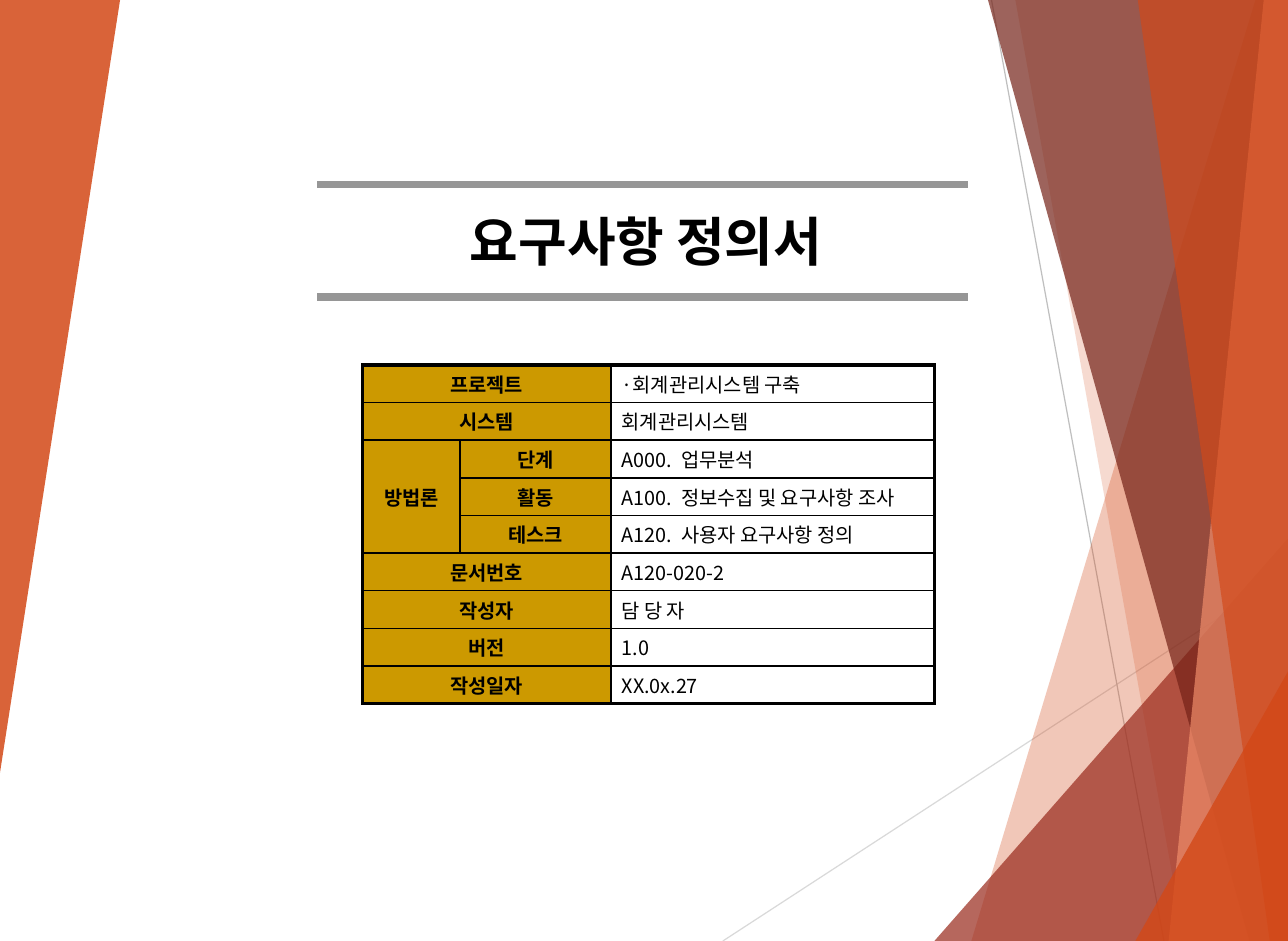
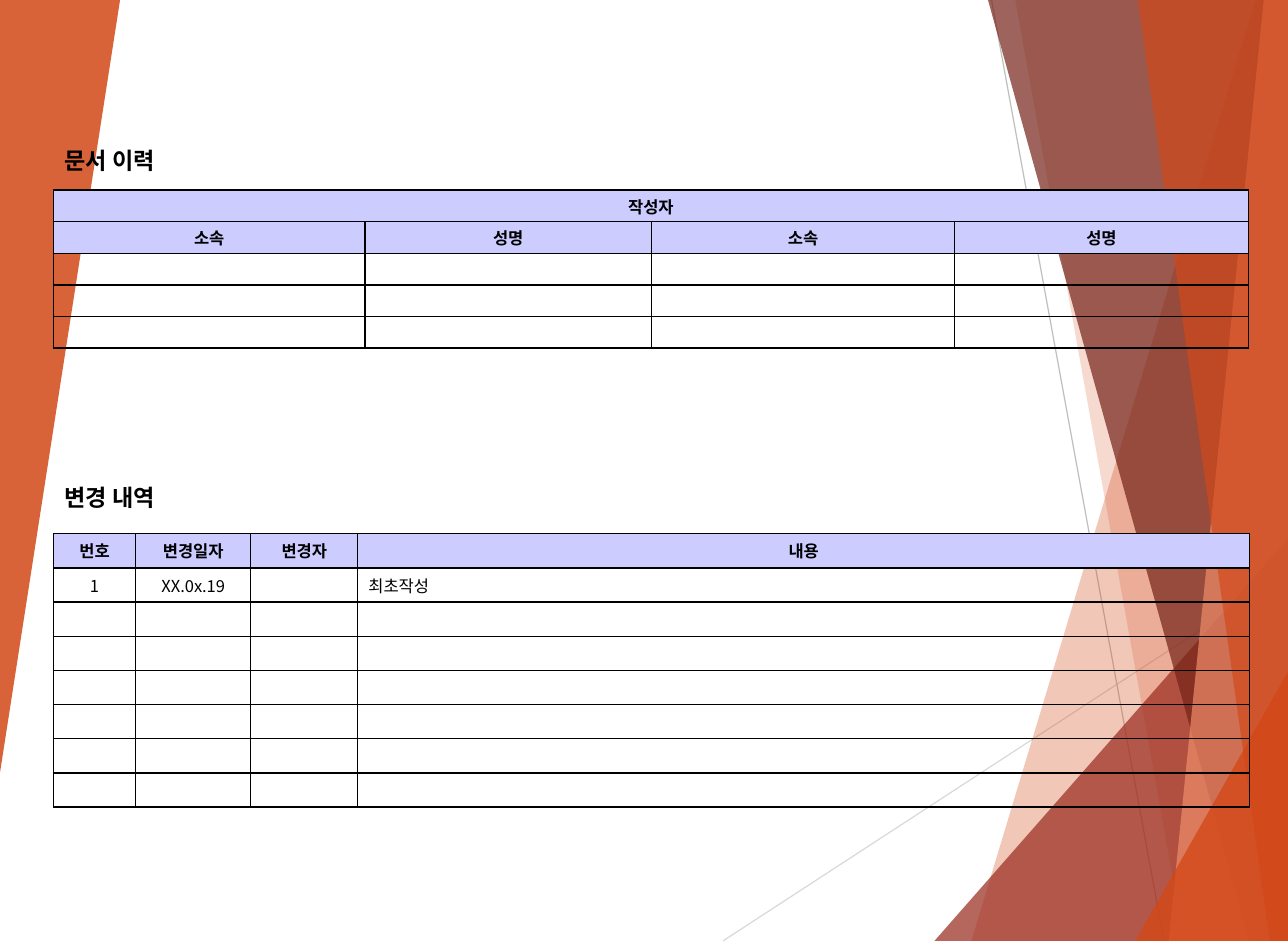
from lxml import etree
from pptx import Presentation
from pptx.dml.color import RGBColor
from pptx.enum.shapes import MSO_CONNECTOR
from pptx.enum.text import MSO_ANCHOR, MSO_AUTO_SIZE, PP_ALIGN
from pptx.oxml.ns import qn
from pptx.util import Inches, Pt

STRAIGHT = MSO_CONNECTOR.STRAIGHT
MIDDLE = MSO_ANCHOR.MIDDLE
LEFT, CENTER = PP_ALIGN.LEFT, PP_ALIGN.CENTER
NO_FIT = MSO_AUTO_SIZE.NONE

FONT = "Noto Sans CJK KR"
BLACK, GRAY = "000000", "969696"
GOLD, LAVENDER = "CC9900", "CCCCFF"
ORANGE, RED, MAROON, SALMON = "D34817", "9B2D1F", "742217", "EF8C6A"
SLIDE_W, SLIDE_H = Pt(780), Pt(570)
W, H = SLIDE_W.inches, SLIDE_H.inches
THIN, THICK = 1, 2.25
TITLE_ONLY = 5
CODE_INDENT = 0.5

RAYS = [  # start, end, colour
    ((6.08, H), (W, 4.82), "D9D9D9"),
    ((8.34, 0), (9.79, H), "BFBFBF"),
]
FACETS = [  # outline, colour, opacity in percent
    ([(10.56, 0), (8.17, H), (W, H), (W, 0)], ORANGE, 30),
    ([(8.54, 0), (9.96, H), (W, H), (W, 0)], ORANGE, 20),
    ([(7.86, H), (W, 4.53), (W, H)], RED, 72),
    ([(8.31, 0), (10.51, H), (W, H), (W, 0)], MAROON, 70),
    ([(10.63, 0), (9.83, H), (W, H), (W, 0)], SALMON, 70),
    ([(9.57, 0), (10.68, H), (W, H), (W, 0)], ORANGE, 65),
    ([(9.55, H), (W, 5.65), (W, H)], ORANGE, 80),
    ([(0, 0), (1.01, 0), (0, 6.5)], ORANGE, 85),
]

PROJECT_ROWS = [
    ("프로젝트", "", "·회계관리시스템 구축"),
    ("시스템", "", "회계관리시스템"),
    ("방법론", "단계", "A000.\t업무분석"),
    ("", "활동", "A100.\t정보수집 및 요구사항 조사"),
    ("", "테스크", "A120.\t사용자 요구사항 정의"),
    ("문서번호", "", "A120-020-2"),
    ("작성자", "", "담 당 자"),
    ("버전", "", "1.0"),
    ("작성일자", "", "XX.0x.27"),
]
AUTHOR_ROWS = [("작성자", "", "", ""), ("소속", "성명") * 2] + [("",) * 4] * 3
CHANGE_ROWS = [
    ("번호", "변경일자", "변경자", "내용"),
    ("1", "XX.0x.19", "", "최초작성"),
] + [("",) * 4] * 6


def rgb(color):
    return RGBColor.from_string(color)


def add_line(shapes, start, end, color, width):
    line = shapes.add_connector(STRAIGHT, *map(Inches, start + end))
    line.line.color.rgb = rgb(color)
    line.line.width = Pt(width)
    etree.SubElement(line.element.spPr, qn("a:effectLst"))
    return line


def add_facet(shapes, points, color, opacity):
    pts = [(Inches(x), Inches(y)) for x, y in points]
    builder = shapes.build_freeform(*pts[0], scale=1.0)
    builder.add_line_segments(pts[1:], close=True)
    sp = builder.convert_to_shape()
    sp.shadow.inherit = False
    sp.line.fill.background()
    sp.fill.solid()
    sp.fill.fore_color.rgb = rgb(color)
    clr = sp.element.spPr.find(".//" + qn("a:srgbClr"))
    etree.SubElement(clr, qn("a:alpha"), val=str(opacity * 1000))
    return sp


def decorate_layout(layout, slide):
    """Draw the facets with the slide's shape builders and move them to the layout."""
    art = [add_line(slide.shapes, *ray, 0.75) for ray in RAYS]
    art += [add_facet(slide.shapes, *facet) for facet in FACETS]
    for i, sp in enumerate(art):
        sp.element.xpath(".//p:cNvPr")[0].set("id", str(100 + i))
        layout.shapes.element.insert(2 + i, sp.element)


def write(tf, text, size, bold, align):
    p = tf.paragraphs[0]
    p.alignment = align
    if not text:  # keeps the height of an empty row small
        etree.SubElement(p._p, qn("a:endParaRPr"), sz=str(size * 100))
        return
    r = p.add_run()
    r.text = text
    for name, value in {"name": FONT, "size": Pt(size), "bold": bold}.items():
        setattr(r.font, name, value)
    r.font.color.rgb = rgb(BLACK)
    etree.SubElement(r._r.get_or_add_rPr(), qn("a:ea"), typeface=FONT)
    if "\t" in text:
        indent = Inches(CODE_INDENT)
        p._p.get_or_add_pPr().set("marL", str(indent))
        p._p.get_or_add_pPr().set("indent", str(-indent))


def set_heading(sp, text, box, size, align=LEFT):
    sp.left, sp.top, sp.width, sp.height = map(Inches, box)
    tf = sp.text_frame
    frame = {"word_wrap": False, "auto_size": NO_FIT, "vertical_anchor": MIDDLE,
             "margin_left": Inches(0.09), "margin_right": Inches(0.09),
             "margin_top": Inches(0.04), "margin_bottom": Inches(0.04)}
    for name, value in frame.items():
        setattr(tf, name, value)
    write(tf, text, size, True, align)


def set_borders(cell, widths):
    tc_pr = cell._tc.get_or_add_tcPr()
    for side, width in zip("LRTB", widths):
        ln = etree.SubElement(tc_pr, qn("a:ln" + side), w=str(Pt(width)))
        fill = etree.SubElement(ln, qn("a:solidFill"))
        etree.SubElement(fill, qn("a:srgbClr"), val=BLACK)


def add_table(slide, rows, pos, cols, height, size, header, header_fill,
              align, merges=(), outer=THIN):
    """header(row, col) tells header cells; align(col) places the other cells."""
    n_rows, n_cols = len(rows), len(cols)
    frame = slide.shapes.add_table(n_rows, n_cols, *map(Inches, pos),
                                   Inches(sum(cols)), Inches(height))
    table = frame.table
    table.first_row = table.horz_banding = False
    for col, width in zip(table.columns, cols):
        col.width = Inches(width)
    for first, last in merges:
        table.cell(*first).merge(table.cell(*last))
    for i, row in enumerate(rows):
        for j, text in enumerate(row):
            cell = table.cell(i, j)
            is_header = header(i, j)
            layout = {"vertical_anchor": MIDDLE,
                      "margin_left": Inches(0.09), "margin_right": Inches(0.09),
                      "margin_top": Inches(0.03), "margin_bottom": Inches(0.03)}
            for name, value in layout.items():
                setattr(cell, name, value)
            write(cell.text_frame, text, size, is_header,
                  CENTER if is_header else align(j))
            if cell.is_spanned:
                continue
            edges = (j == 0, j == n_cols - 1, i == 0, i == n_rows - 1)
            set_borders(cell, [outer if edge else THIN for edge in edges])
            if is_header:
                cell.fill.solid()
                cell.fill.fore_color.rgb = rgb(header_fill)
            else:
                cell.fill.background()


def build_cover(slide):
    set_heading(slide.shapes.title, "요구사항 정의서",
                (3.75, 1.71, 3.37, 0.62), 32, CENTER)
    for y in (1.55, 2.5):
        add_line(slide.shapes, (2.67, y), (8.14, y), GRAY, 4.5)
    wide = [((i, 0), (i, 1)) for i, row in enumerate(PROJECT_ROWS)
            if row[0] and not row[1]]
    add_table(slide, PROJECT_ROWS, (3.05, 3.07), (0.82, 1.27, 2.72), 2.85, 12,
              header=lambda i, j: j < 2, header_fill=GOLD,
              align=lambda j: LEFT, merges=wide + [((2, 0), (4, 0))],
              outer=THICK)


def build_history(slide):
    set_heading(slide.shapes.title, "문서 이력", (0.45, 1.19, 1, 0.32), 14)
    add_table(slide, AUTHOR_ROWS, (0.45, 1.6), (2.62, 2.41, 2.55, 2.47), 1.33, 10,
              header=lambda i, j: i < 2, header_fill=LAVENDER,
              align=lambda j: CENTER, merges=[((0, 0), (0, 3))])
    box = (0.45, 4.02, 1, 0.32)
    set_heading(slide.shapes.add_textbox(*map(Inches, box)), "변경 내역", box, 14)
    add_table(slide, CHANGE_ROWS, (0.45, 4.49), (0.69, 0.97, 0.9, 7.5), 2.3, 10,
              header=lambda i, j: i == 0, header_fill=LAVENDER,
              align=lambda j: LEFT if j == 3 else CENTER)


def main():
    prs = Presentation()
    prs.slide_width, prs.slide_height = SLIDE_W, SLIDE_H
    layout = prs.slide_layouts[TITLE_ONLY]
    cover, history = [prs.slides.add_slide(layout) for _ in range(2)]
    decorate_layout(layout, cover)
    build_cover(cover)
    build_history(history)
    prs.save("out.pptx")


if __name__ == "__main__":
    main()
